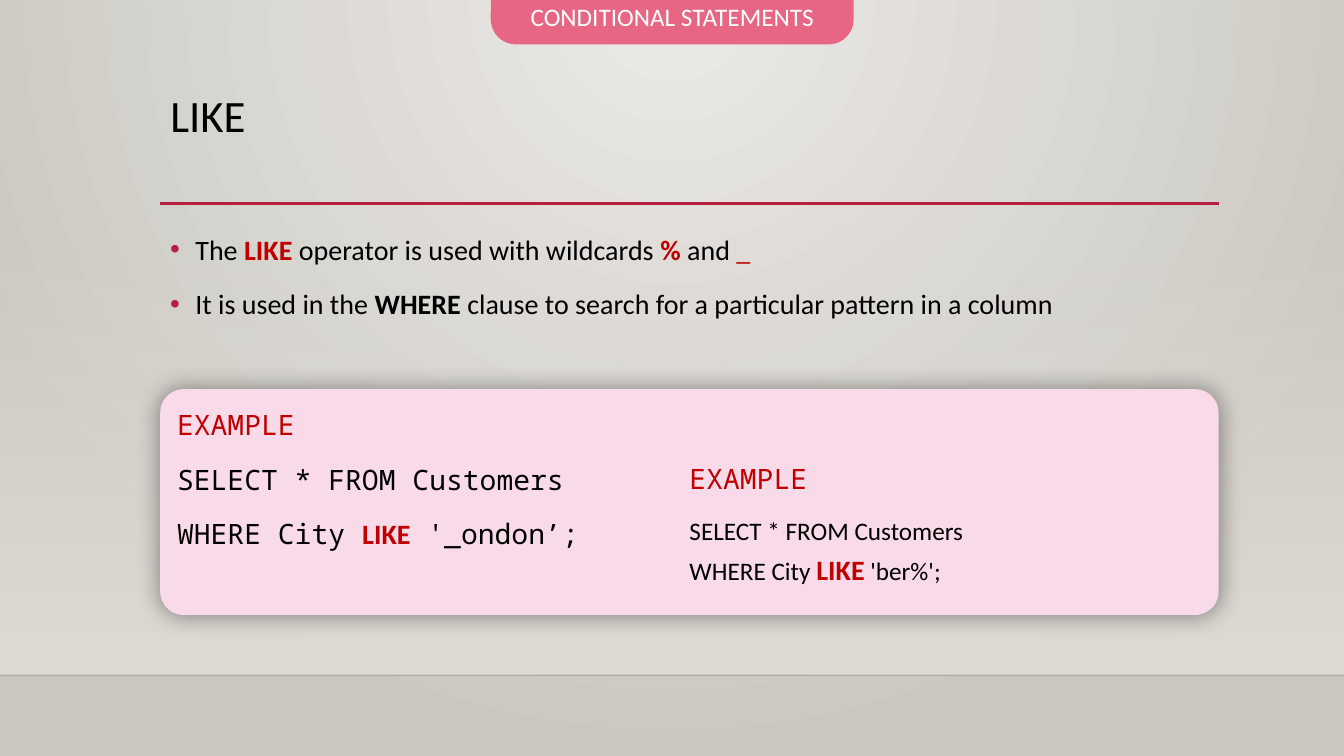
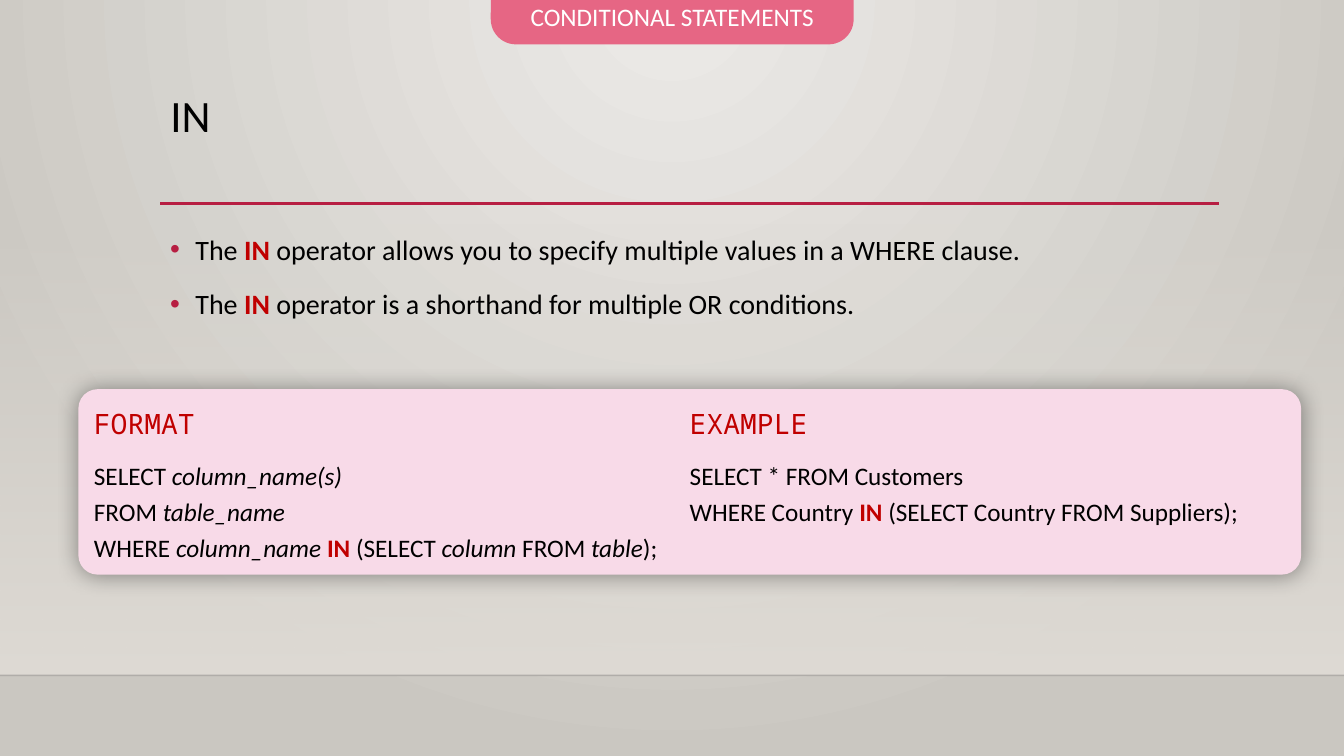
from lxml.etree import SubElement
from pptx import Presentation
from pptx.dml.color import RGBColor as Rgb
from pptx.enum.shapes import MSO_CONNECTOR as Connector, MSO_SHAPE as Shape
from pptx.enum.text import MSO_ANCHOR as Anchor, MSO_AUTO_SIZE as AutoSize, PP_ALIGN as Align
from pptx.oxml.ns import qn
from pptx.util import Pt

COLORS = {
    "glow": "ECEAE7",
    "stone": "CAC7C1",
    "floor": "DFDBD5",
    "edge": "000001",
    "accent": "B71E42",
    "tab": "E66684",
    "card": "F8DAE8",
    "ink": "000000",
    "keyword": "C00000",
    "white": "FFFFFF",
}
SANS, MONO = "Calibri", "Noto Sans Mono"
PAGE_WIDTH, PAGE_HEIGHT = 960, 540
FLOOR_TOP, FLOOR_EDGE = 159.1, 482.4
TITLE_BOX = (114.5, 63.4, 756, 82.8)
TAB_BOX = (350.6, -23, 259.2, 54.7)
BULLET_BOX = (114.5, 157.7, 767.5, 72.7)
RULE_Y = 145.4
CARD_RADIUS = 0.104
ROUND_INSET = 0.29

STYLES = {
    "body": {"size": 20},
    "body key": {"size": 20, "color": "keyword", "bold": True},
    "mark": {"size": 20, "color": "keyword"},
    "strong": {"size": 20, "bold": True},
    "heading": {"size": 20, "name": MONO, "color": "keyword"},
    "mono": {"size": 20, "name": MONO},
    "code": {"size": 18},
    "key": {"size": 18, "color": "keyword", "bold": True},
    "term": {"size": 18, "italic": True},
    "title": {"size": 32},
    "tab": {"size": 18, "color": "white"},
}

SLIDES = [
    {
        "title": "LIKE",
        "bullets": [
            [("The ", "body"), ("LIKE ", "body key"),
             ("operator is used with wildcards ", "body"), ("%", "body key"),
             (" and ", "body"), ("_", "mark")],
            [("It is used in the ", "body"), ("WHERE ", "strong"),
             ("clause to search for a particular pattern in a column", "body")],
        ],
        "card": (114.5, 278, 756, 161.3),
        "left": [
            [("EXAMPLE", "heading")],
            [("SELECT * FROM Customers", "mono")],
            [("WHERE City ", "mono"), ("LIKE", "body key"), (" '_ondon’;", "mono")],
        ],
        "right": [
            [("EXAMPLE", "heading")],
            [("SELECT * FROM Customers\nWHERE City ", "code"),
             ("LIKE", "body key"), (" 'ber%';", "code")],
        ],
        "drop": 38.6,
    },
    {
        "title": "IN",
        "bullets": [
            [("The ", "body"), ("IN", "body key"),
             (" operator allows you to specify multiple values in a WHERE clause.", "body")],
            [("The ", "body"), ("IN", "body key"),
             (" operator is a shorthand for multiple OR conditions.", "body")],
        ],
        "card": (56, 278, 873.4, 132.5),
        "left": [
            [("FORMAT", "heading")],
            [("SELECT ", "code"), ("column_name(s)\n", "term"),
             ("FROM ", "code"), ("table_name\n", "term"),
             ("WHERE ", "code"), ("column_name ", "term"), ("IN", "key"),
             (" (SELECT ", "code"), ("column ", "term"), ("FROM ", "code"),
             ("table", "term"), (");", "code")],
        ],
        "right": [
            [("EXAMPLE", "heading")],
            [("SELECT * FROM Customers\nWHERE Country ", "code"), ("IN", "key"),
             (" (SELECT Country FROM Suppliers);", "code")],
        ],
        "drop": 0,
    },
]


def rgb(color):
    return Rgb.from_string(COLORS[color])


def points(box):
    return [Pt(length) for length in box]


def set_font(font, size, name=SANS, color="ink", bold=None, italic=None):
    font.size = Pt(size)
    font.name = name
    font.color.rgb = rgb(color)
    font.bold = bold
    font.italic = italic


def add_alpha(color_element, percent):
    SubElement(color_element, qn("a:alpha"), val=str(percent * 1000))


def set_gradient(fill, colors):
    fill.gradient()
    for stop, color in zip(fill.gradient_stops, colors):
        stop.color.rgb = rgb(color)


def add_line(page, start, end, color, width):
    line = page.shapes.add_connector(Connector.STRAIGHT, *points(start + end))
    line.line.color.rgb = rgb(color)
    line.line.width = Pt(width)
    SubElement(line.element.spPr, qn("a:effectLst"))
    return line


def add_plain_shape(page, kind, box):
    shape = page.shapes.add_shape(kind, *points(box))
    shape.shadow.inherit = False
    shape.line.fill.background()
    return shape


def add_round_box(page, box, radius, color):
    shape = add_plain_shape(page, Shape.ROUNDED_RECTANGLE, box)
    shape.adjustments[0] = radius
    shape.fill.solid()
    shape.fill.fore_color.rgb = rgb(color)
    return shape


def write_spans(para, spans):
    for text, style in spans:
        for index, piece in enumerate(text.split("\n")):
            if index:
                para.add_line_break()
            if piece:
                span = para.add_run()
                span.text = piece
                if len(spans) > 1:
                    set_font(span.font, **STYLES[style])
    if len(spans) == 1:
        set_font(para.font, **STYLES[spans[0][1]])


def write_paragraphs(frame, paragraphs):
    frame.word_wrap = True
    frame.auto_size = AutoSize.NONE
    frame.vertical_anchor = Anchor.TOP
    for index, spans in enumerate(paragraphs):
        para = frame.paragraphs[0] if index == 0 else frame.add_paragraph()
        para.alignment = Align.LEFT
        para.line_spacing = 1.2
        para.space_before = Pt(10)
        write_spans(para, spans)


def add_bullets(page, box, paragraphs):
    frame = page.shapes.add_textbox(*points(box)).text_frame
    write_paragraphs(frame, paragraphs)
    for para in frame.paragraphs:
        props = para._p.get_or_add_pPr()
        props.set("marL", str(Pt(18)))
        props.set("indent", str(-Pt(18)))
        bullet_color = SubElement(props, qn("a:buClr"))
        SubElement(bullet_color, qn("a:srgbClr"), val=COLORS["accent"])
        SubElement(props, qn("a:buFont"), typeface="Arial")
        SubElement(props, qn("a:buChar"), char="•")


def add_card(page, box, left_text, right_text, drop):
    left, top, width, height = box
    card = add_round_box(page, box, CARD_RADIUS, "card")
    effects = card.element.spPr.find(qn("a:effectLst"))
    shadow = SubElement(effects, qn("a:outerShdw"), blurRad=str(Pt(16)),
                        dist="0", dir="0", algn="ctr", rotWithShape="0")
    add_alpha(SubElement(shadow, qn("a:srgbClr"), val=COLORS["ink"]), 40)
    write_paragraphs(card.text_frame, left_text)
    card.text_frame.margin_right = Pt(width / 2 - 12)

    inset = ROUND_INSET * CARD_RADIUS * height + drop
    column = (left + width / 2, top + inset, width / 2, height - inset)
    frame = page.shapes.add_textbox(*points(column)).text_frame
    frame.margin_left = 0
    write_paragraphs(frame, right_text)


def add_title(page, box, text):
    title = page.shapes.title
    title.left, title.top, title.width, title.height = points(box)
    frame = title.text_frame
    frame.auto_size = AutoSize.NONE
    frame.vertical_anchor = Anchor.TOP
    para = frame.paragraphs[0]
    para.alignment = Align.LEFT
    para.line_spacing = 0.9
    write_spans(para, [(text, "title")])


def add_tab(page, box, text):
    frame = add_round_box(page, box, 0.329, "tab").text_frame
    frame.word_wrap = False
    frame.vertical_anchor = Anchor.BOTTOM
    para = frame.paragraphs[0]
    para.alignment = Align.CENTER
    write_spans(para, [(text, "tab")])


def set_background(master):
    set_gradient(master.background.fill, ("glow", "stone"))
    gradient = next(master.element.iter(qn("p:bgPr"))).find(qn("a:gradFill"))
    gradient.remove(gradient.find(qn("a:lin")))
    radial = SubElement(gradient, qn("a:path"))
    radial.set("path", "circle")
    SubElement(radial, qn("a:fillToRect"), l="43000", t="0", r="43000", b="100000")


def add_backdrop(page):
    floor = add_plain_shape(page, Shape.RECTANGLE,
                            (0, FLOOR_TOP, PAGE_WIDTH, FLOOR_EDGE - FLOOR_TOP))
    set_gradient(floor.fill, ("floor", "floor"))
    floor.fill.gradient_angle = 270
    add_alpha(next(floor.element.spPr.iter(qn("a:srgbClr"))), 0)

    edge = add_line(page, (0, FLOOR_EDGE), (PAGE_WIDTH, FLOOR_EDGE), "edge", 1)
    add_alpha(next(edge.element.spPr.iter(qn("a:srgbClr"))), 20)
    left, _, width, _ = TITLE_BOX
    rule = add_line(page, (left, RULE_Y), (left + width, RULE_Y), "accent", 2.5)
    for part in (floor, edge, rule):
        page.slide_layout.shapes.element.append(part.element)


def add_operator_slide(page, content):
    add_title(page, TITLE_BOX, content["title"])
    add_tab(page, TAB_BOX, "CONDITIONAL STATEMENTS")
    add_card(page, content["card"], content["left"], content["right"], content["drop"])
    add_bullets(page, BULLET_BOX, content["bullets"])


def main():
    deck = Presentation()
    deck.slide_width, deck.slide_height = Pt(PAGE_WIDTH), Pt(PAGE_HEIGHT)
    set_background(deck.slide_master)
    layout = deck.slide_layouts.get_by_name("Title Only")
    pages = [deck.slides.add_slide(layout) for _ in SLIDES]
    add_backdrop(pages[0])
    for page, content in zip(pages, SLIDES):
        add_operator_slide(page, content)
    deck.save("out.pptx")


if __name__ == "__main__":
    main()
